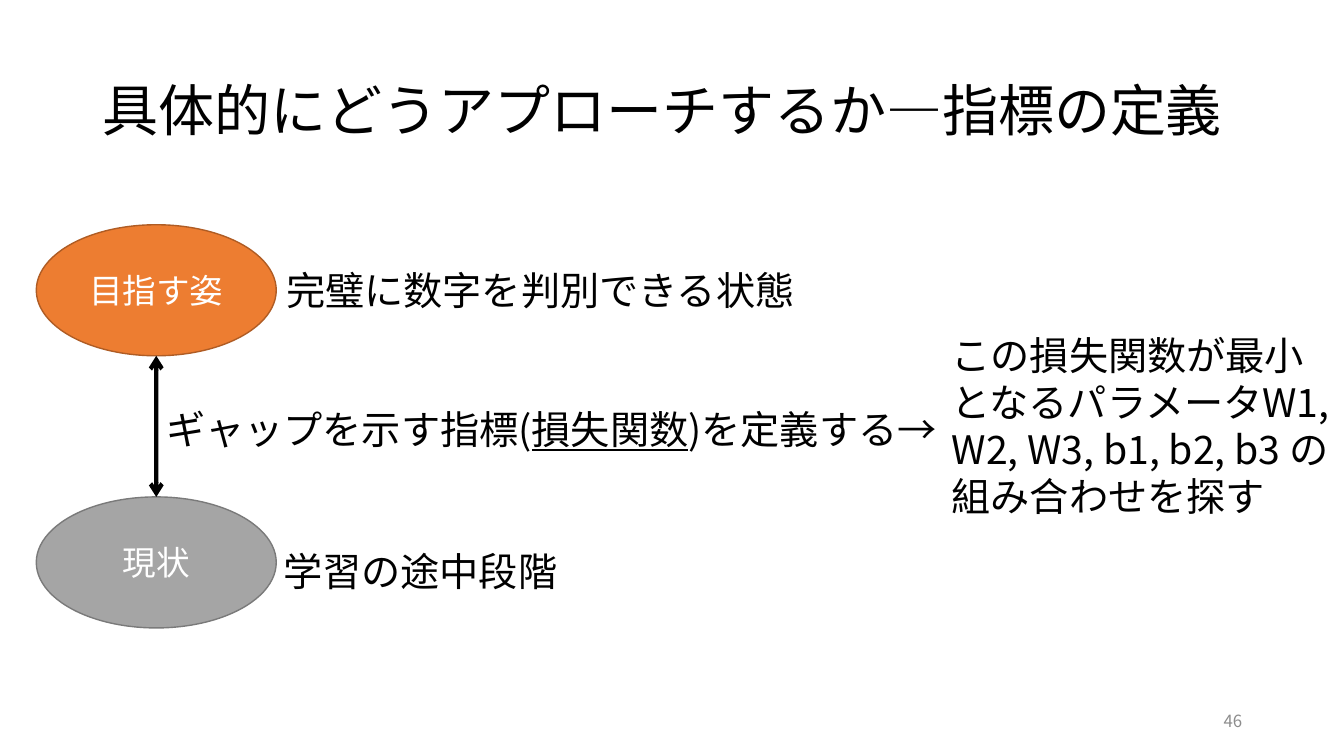
from lxml.etree import SubElement
from pptx import Presentation
from pptx.dml.color import RGBColor
from pptx.enum.shapes import MSO_CONNECTOR as Connector, MSO_SHAPE as Shape
from pptx.enum.text import MSO_ANCHOR as Anchor, MSO_AUTO_SIZE as AutoSize, PP_ALIGN as Align
from pptx.oxml.ns import qn
from pptx.util import Inches, Pt

FONT = "Noto Sans CJK JP"
COLORS = {
    "text": "000000", "white": "FFFFFF", "number": "8C8C8C",
    "goal": "ED7D31", "goal_line": "AF5C24",
    "current": "A5A5A5", "current_line": "7A7A7A",
}
TITLE = "具体的にどうアプローチするか—指標の定義"
SLIDE_NUMBER = "46"
STATES = [("目指す姿", "goal", 2.23), ("現状", "current", 4.93)]
OVAL_LEFT, OVAL_WIDTH, OVAL_HEIGHT = 0.36, 2.38, 1.3
AXIS = OVAL_LEFT + OVAL_WIDTH / 2
UNDERLINED = "損失関数"
NOTES = [
    (["ギャップを示す指標(", UNDERLINED, ")を定義する→"], (AXIS, 3.97, 8.15, 0.57)),
    (["学習の途中段階"], (2.71, 5.38, 2.95, 0.57)),
    (["この損失関数が最小となるパラメータW1, W2, W3, b1, b2, b3 の組み合わせを探す"],
     (9.34, 3.24, 4.05, 1.99)),
    (["完璧に数字を判別できる状態"], (2.74, 2.59, 5.31, 0.57)),
]


def color(name):
    return RGBColor.from_string(COLORS[name])


def inches(box):
    return [Inches(length) for length in box]


def write(shape, texts, size, ink="text", align=Align.LEFT, anchor=Anchor.MIDDLE):
    frame = shape.text_frame
    frame.word_wrap = True
    frame.auto_size = AutoSize.NONE
    frame.vertical_anchor = anchor
    paragraph = frame.paragraphs[0]
    paragraph.alignment = align
    for text in texts:
        run = paragraph.add_run()
        run.text = text
        run.font.size = Pt(size)
        run.font.name = FONT
        run.font.color.rgb = color(ink)
        if text == UNDERLINED:
            run.font.underline = True
        SubElement(run.font._element, qn("a:ea"), typeface=FONT)
    return paragraph


def add_oval(slide, label, name, top):
    oval = slide.shapes.add_shape(
        Shape.OVAL, *inches((OVAL_LEFT, top, OVAL_WIDTH, OVAL_HEIGHT)))
    oval.shadow.inherit = False
    oval.fill.solid()
    oval.fill.fore_color.rgb = color(name)
    oval.line.color.rgb = color(name + "_line")
    oval.line.width = Pt(1)
    write(oval, [label], 24, "white", Align.CENTER)
    return oval


def add_gap_arrow(slide, goal, current):
    arrow = slide.shapes.add_connector(
        Connector.STRAIGHT, Inches(AXIS), current.top, Inches(AXIS), goal.top + goal.height)
    arrow.begin_connect(current, 0)
    arrow.line.color.rgb = color("text")
    arrow.line.width = Pt(3)
    line = arrow.line._get_or_add_ln()
    for end in ("a:headEnd", "a:tailEnd"):
        SubElement(line, qn(end), type="arrow")
    SubElement(arrow._element.spPr, qn("a:effectLst"))


def main():
    presentation = Presentation()
    presentation.slide_width, presentation.slide_height = inches((13.33, 7.5))
    slide = presentation.slides.add_slide(presentation.slide_layouts[5])

    title = slide.shapes.title
    title.left, title.top, title.width, title.height = inches((0.92, 0.4, 11.5, 1.45))
    write(title, [TITLE], 40).line_spacing = 0.9

    number = slide.shapes.add_textbox(*inches((9.42, 6.95, 3, 0.4)))
    write(number, [SLIDE_NUMBER], 12, "number", Align.RIGHT)

    goal, current = [add_oval(slide, *state) for state in STATES]
    add_gap_arrow(slide, goal, current)

    for texts, box in NOTES:
        write(slide.shapes.add_textbox(*inches(box)), texts, 28, anchor=Anchor.TOP)

    presentation.save("out.pptx")


if __name__ == "__main__":
    main()
